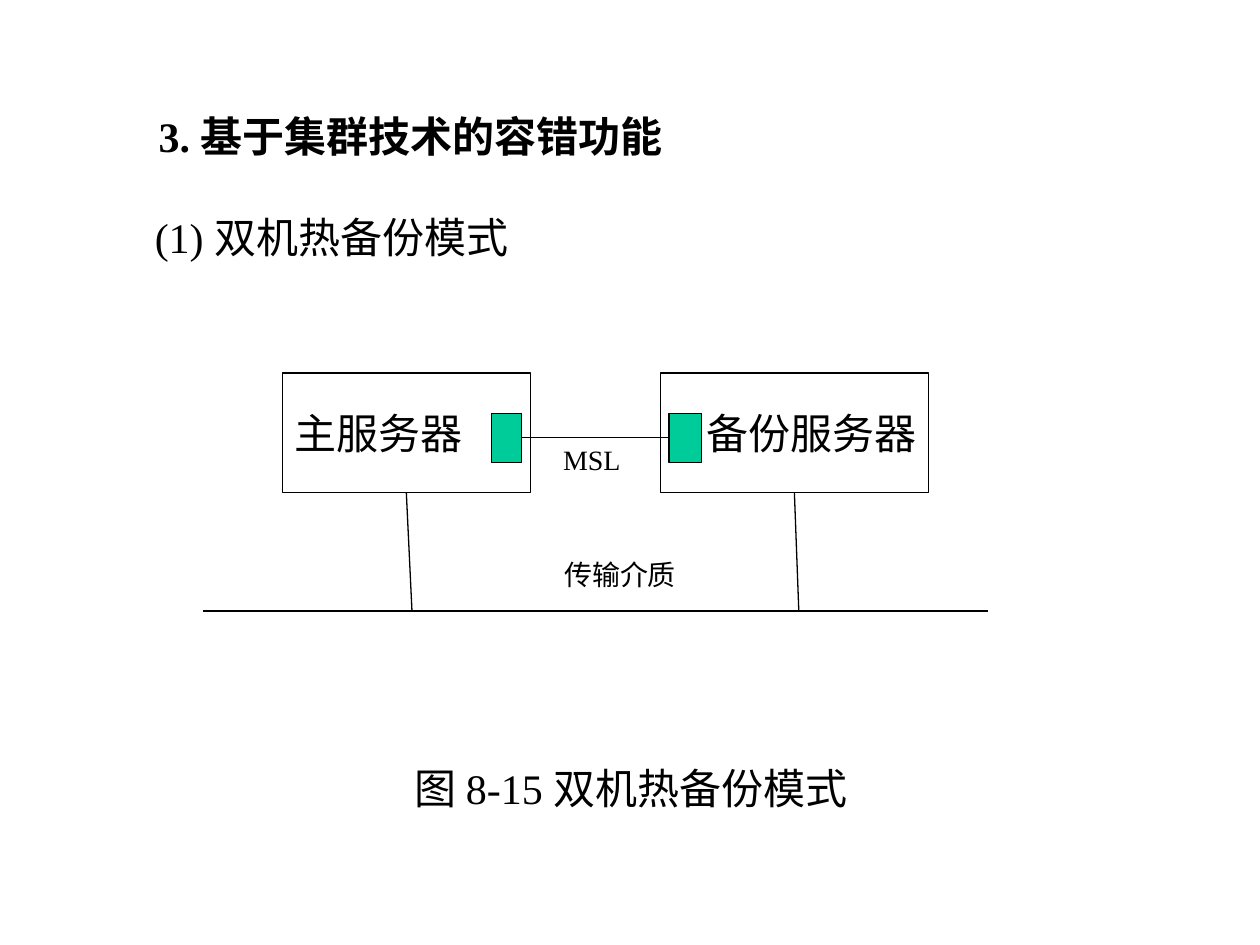
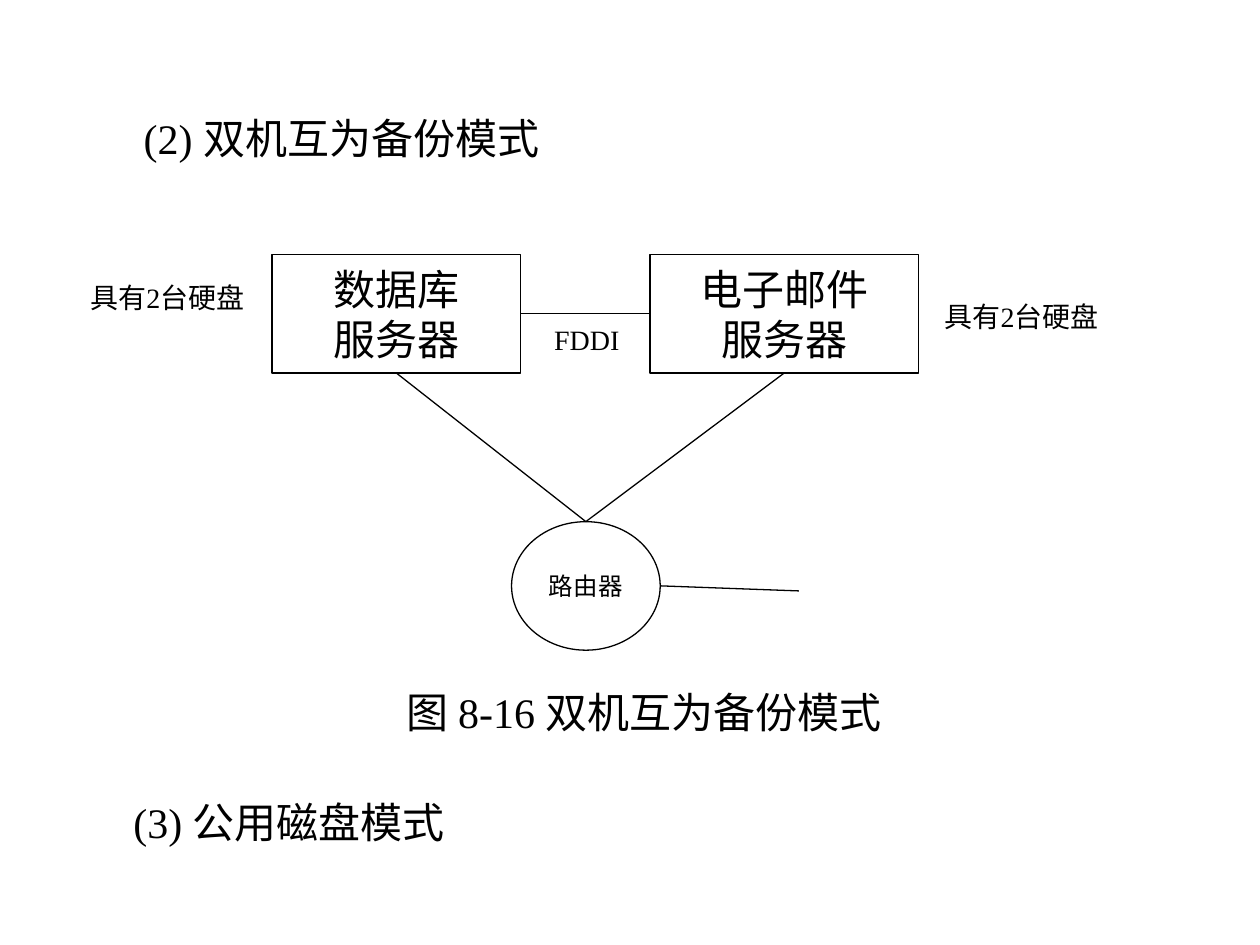
from pptx import Presentation, util as u
from pptx.dml import color
from pptx.enum import shapes, text
from pptx.oxml import ns
from lxml import etree

COLOURS = {"ink": "000000", "port": "00CC99"}
FONT = "Times New Roman"
LINE_WIDTH = u.Pt(0.74)
HEADING, LABEL, SMALL = 24, 16, 14
TEXT_HEIGHT = {HEADING: 0.5, LABEL: 0.37}
SLACK = 0.1  # spare width that keeps each label on one line
LEFT, CENTER, RIGHT = text.PP_ALIGN.LEFT, text.PP_ALIGN.CENTER, text.PP_ALIGN.RIGHT
RECT, OVAL = shapes.MSO_SHAPE.RECTANGLE, shapes.MSO_SHAPE.OVAL

# title: words, (left, top, width), bold
# texts: words, (left, top, width), size
# nodes: name -> words, (left, top, width, height), shape, fill, size, alignment
# links: each end is a point or (node name, side)
SLIDES = [
    {
        "title": ("3. 基于集群技术的容错功能", (1.16, 0.83, 4.36), True),
        "texts": [
            ("(1) 双机热备份模式", (1.13, 1.63, 3.08), HEADING),
            ("图 8-15 双机热备份模式", (3.19, 6, 3.79), HEADING),
            ("MSL", (4.37, 3.46, 0.65), LABEL),
            ("传输介质", (4.38, 4.38, 1.08), LABEL),
        ],
        "nodes": {
            "main server": ("主服务器", (2.24, 2.96, 1.97, 0.95), RECT, None, HEADING, LEFT),
            "main port": ("", (3.9, 3.28, 0.24, 0.39), RECT, "port", HEADING, CENTER),
            "backup server": ("备份服务器", (5.24, 2.96, 2.13, 0.95), RECT, None, HEADING, RIGHT),
            "backup port": ("", (5.31, 3.28, 0.26, 0.39), RECT, "port", HEADING, CENTER),
        },
        "links": [
            (("main port", "right"), ("backup port", "left")),
            ((1.61, 4.85), (7.84, 4.85)),
            (("main server", "bottom"), (3.27, 4.85)),
            (("backup server", "bottom"), (6.34, 4.85)),
        ],
    },
    {
        "title": ("(2) 双机互为备份模式", (1.04, 0.84, 3.42), False),
        "texts": [
            ("图 8-16 双机互为备份模式", (3.13, 5.4, 4.13), HEADING),
            ("FDDI", (4.3, 2.51, 0.71), LABEL),
            ("具有2台硬盘", (0.62, 2.18, 1.52), LABEL),
            ("具有2台硬盘", (7.4, 2.33, 1.52), LABEL),
            ("(3) 公用磁盘模式", (0.96, 6.27, 2.75), HEADING),
        ],
        "nodes": {
            "database": ("数据库\n服务器", (2.16, 2.02, 1.97, 0.94), RECT, None, HEADING, CENTER),
            "mail": ("电子邮件\n服务器", (5.16, 2.02, 2.13, 0.94), RECT, None, HEADING, CENTER),
            "router": ("路由器", (4.06, 4.14, 1.18, 1.02), OVAL, None, SMALL, CENTER),
        },
        "links": [
            (("database", "right"), ("mail", "left")),
            (("database", "bottom"), ("router", "top")),
            (("mail", "bottom"), ("router", "top")),
            (("router", "right"), (6.34, 4.69)),
        ],
    },
]
SIDES = {"left": (0, 0.5), "right": (1, 0.5), "top": (0.5, 0), "bottom": (0.5, 1)}


def rgb(name):
    """Return the named colour."""
    return color.RGBColor.from_string(COLOURS[name])


def write(frame, words, size, alignment=LEFT, bold=False):
    """Fill a text frame and format all its runs."""
    frame.text = words
    for para in frame.paragraphs:
        para.alignment = alignment
        for span in para.runs:
            span.font.name = FONT
            span.font.size = u.Pt(size)
            span.font.bold = bold
            span.font.color.rgb = rgb("ink")


def write_line(box, words, place, size, bold=False):
    """Place a box and write one left-aligned line in it."""
    left, top, width = place
    box.left, box.top = u.Inches(left), u.Inches(top)
    box.width, box.height = u.Inches(width + SLACK), u.Inches(TEXT_HEIGHT[size])
    frame = box.text_frame
    frame.word_wrap = True
    frame.auto_size = text.MSO_AUTO_SIZE.NONE
    frame.vertical_anchor = text.MSO_ANCHOR.TOP
    write(frame, words, size, bold=bold)


def add_title(page, words, place, bold):
    """Fill the title placeholder."""
    write_line(page.shapes.title, words, place, HEADING, bold)


def add_text(page, words, place, size):
    """Add a one-line text box."""
    write_line(page.shapes.add_textbox(0, 0, 0, 0), words, place, size)


def add_node(page, words, place, kind, fill, size, alignment):
    """Add an outlined shape, with a fill and words if it has them."""
    box = page.shapes.add_shape(kind, *map(u.Inches, place))
    box.shadow.inherit = False
    box.line.color.rgb = rgb("ink")
    box.line.width = LINE_WIDTH
    if fill:
        box.fill.solid()
        box.fill.fore_color.rgb = rgb(fill)
    else:
        box.fill.background()
    if words:
        box.text_frame.vertical_anchor = text.MSO_ANCHOR.MIDDLE
        write(box.text_frame, words, size, alignment)


def locate(end, nodes):
    """Turn a link end into a point in inches."""
    if end[0] not in nodes:
        return end
    name, side = end
    left, top, width, height = nodes[name][1]
    across, down = SIDES[side]
    return left + across * width, top + down * height


def add_link(page, start, end):
    """Draw a straight line between two points."""
    line = page.shapes.add_connector(
        shapes.MSO_CONNECTOR.STRAIGHT, *map(u.Inches, (*start, *end)))
    line.line.color.rgb = rgb("ink")
    line.line.width = LINE_WIDTH
    etree.SubElement(line._element.spPr, ns.qn("a:effectLst"))


def build():
    """Build and save the deck."""
    deck = Presentation()
    deck.slide_width, deck.slide_height = u.Inches(10), u.Inches(7.5)
    title_only = deck.slide_layouts[5]
    for content in SLIDES:
        page = deck.slides.add_slide(title_only)
        nodes = content["nodes"]
        add_title(page, *content["title"])
        for node in nodes.values():
            add_node(page, *node)
        for start, end in content["links"]:
            add_link(page, locate(start, nodes), locate(end, nodes))
        for label in content["texts"]:
            add_text(page, *label)
    deck.save("out.pptx")


build()
